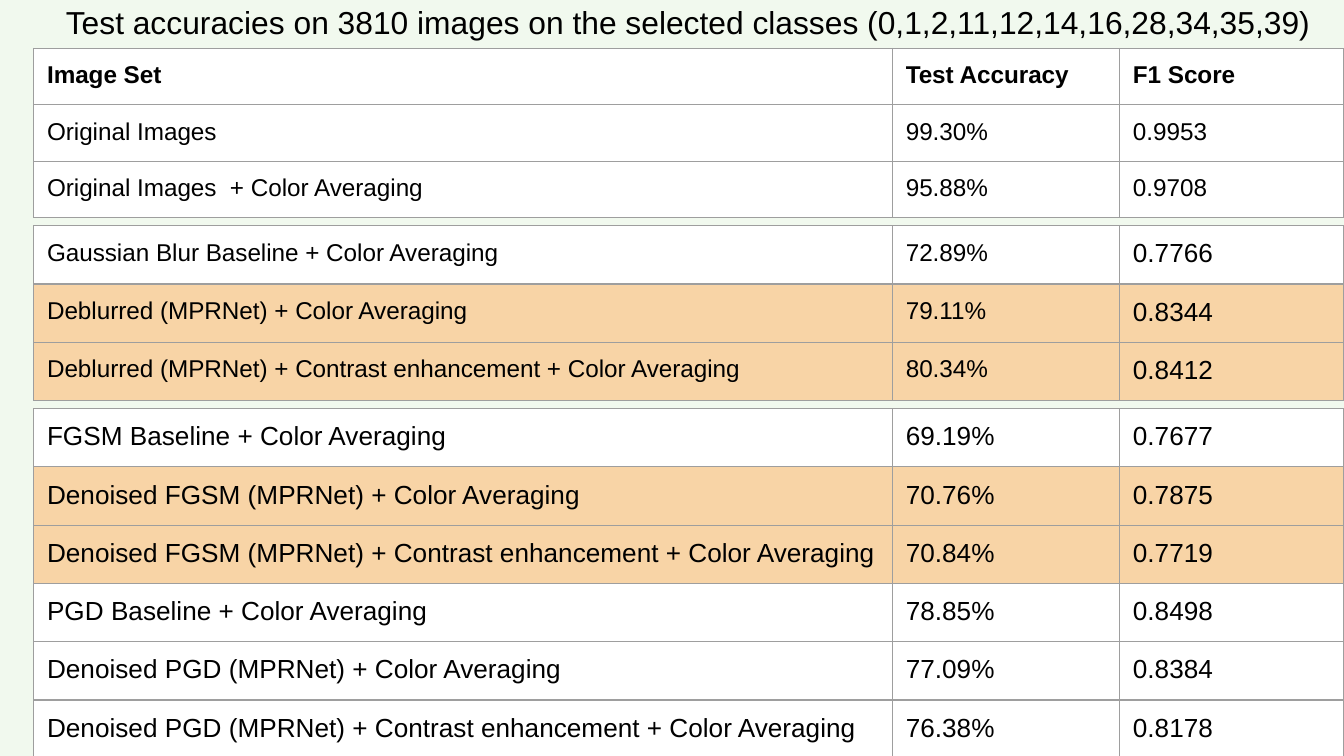
from pptx import Presentation
from pptx.dml.color import RGBColor
from pptx.enum.text import PP_ALIGN
from pptx.oxml.ns import qn
from pptx.util import Inches, Pt
from lxml.etree import SubElement

BACKGROUND = RGBColor(0xF1, 0xF9, 0xEE)
WHITE = RGBColor(0xFF, 0xFF, 0xFF)
ORANGE = RGBColor(0xF8, 0xD4, 0xA6)
BLACK = RGBColor(0x00, 0x00, 0x00)
GRID = RGBColor(0x9E, 0x9E, 0x9E)

TITLE = ("Test accuracies on 3810 images on the selected classes "
         "(0,1,2,11,12,14,16,28,34,35,39)")
LEFT = 0.25
COLUMN_WIDTHS = (6.39, 1.69, 1.67)
MARGIN = Inches(0.1)

# "sizes" holds one text size per column; "header" and "highlight" hold row numbers
TABLES = [
    {"top": 0.36, "row_height": 0.42, "sizes": (13, 13, 13),
     "header": (0,), "highlight": (), "rows": [
        ("Image Set", "Test Accuracy", "F1 Score"),
        ("Original Images", "99.30%", "0.9953"),
        ("Original Images  + Color Averaging", "95.88%", "0.9708"),
     ]},
    {"top": 1.68, "row_height": 0.42, "sizes": (13, 13, 14),
     "header": (), "highlight": (1, 2), "rows": [
        ("Gaussian Blur Baseline + Color Averaging", "72.89%", "0.7766"),
        ("Deblurred (MPRNet) + Color Averaging", "79.11%", "0.8344"),
        ("Deblurred (MPRNet) + Contrast enhancement + Color Averaging", "80.34%", "0.8412"),
     ]},
    {"top": 3.04, "row_height": 0.38, "sizes": (14, 14, 14),
     "header": (), "highlight": (1, 2), "rows": [
        ("FGSM Baseline + Color Averaging", "69.19%", "0.7677"),
        ("Denoised FGSM (MPRNet) + Color Averaging", "70.76%", "0.7875"),
        ("Denoised FGSM (MPRNet) + Contrast enhancement + Color Averaging", "70.84%", "0.7719"),
     ]},
    {"top": 4.34, "row_height": 0.34, "sizes": (14, 14, 14),
     "header": (), "highlight": (), "rows": [
        ("PGD Baseline + Color Averaging", "78.85%", "0.8498"),
        ("Denoised PGD (MPRNet) + Color Averaging", "77.09%", "0.8384"),
        ("Denoised PGD (MPRNet) + Contrast enhancement + Color Averaging", "76.38%", "0.8178"),
     ]},
]


def style_text(frame, size, bold=False):
    for para in frame.paragraphs:
        for span in para.runs:
            span.font.name = "Arial"
            span.font.size = Pt(size)
            span.font.bold = bold
            span.font.color.rgb = BLACK


def set_margins(target):
    target.margin_left = target.margin_right = MARGIN
    target.margin_top = target.margin_bottom = MARGIN


def add_borders(cell):
    properties = cell._tc.get_or_add_tcPr()
    for position, side in enumerate(("a:lnL", "a:lnR", "a:lnT", "a:lnB")):
        line = SubElement(properties, qn(side), w=str(Pt(0.75)))
        fill = SubElement(line, qn("a:solidFill"))
        SubElement(fill, qn("a:srgbClr"), val=str(GRID))
        properties.insert(position, line)  # borders come before the cell fill


def add_results(page, results):
    rows, row_height = results["rows"], results["row_height"]
    table = page.shapes.add_table(
        len(rows), len(COLUMN_WIDTHS), Inches(LEFT), Inches(results["top"]),
        Inches(sum(COLUMN_WIDTHS)), Inches(row_height * len(rows))).table
    table.first_row = table.horz_banding = False
    for column, width in zip(table.columns, COLUMN_WIDTHS):
        column.width = Inches(width)
    for r, values in enumerate(rows):
        table.rows[r].height = Inches(row_height)
        for c, value in enumerate(values):
            cell = table.cell(r, c)
            cell.text_frame.text = value
            style_text(cell.text_frame, results["sizes"][c], r in results["header"])
            set_margins(cell)
            cell.fill.solid()
            cell.fill.fore_color.rgb = ORANGE if r in results["highlight"] else WHITE
            add_borders(cell)


def add_title(page):
    box = page.shapes.add_textbox(Inches(LEFT), Inches(-0.08), Inches(9.75), Inches(0.6))
    frame = box.text_frame
    frame.word_wrap = True
    set_margins(frame)
    frame.text = TITLE
    frame.paragraphs[0].alignment = PP_ALIGN.CENTER
    style_text(frame, 17)


def main():
    deck = Presentation()
    deck.slide_width = Inches(10)
    deck.slide_height = deck.slide_width * 9 // 16
    page = deck.slides.add_slide(deck.slide_layouts[6])
    page.background.fill.solid()
    page.background.fill.fore_color.rgb = BACKGROUND
    add_title(page)
    for results in TABLES:
        add_results(page, results)
    deck.save("out.pptx")


if __name__ == "__main__":
    main()
